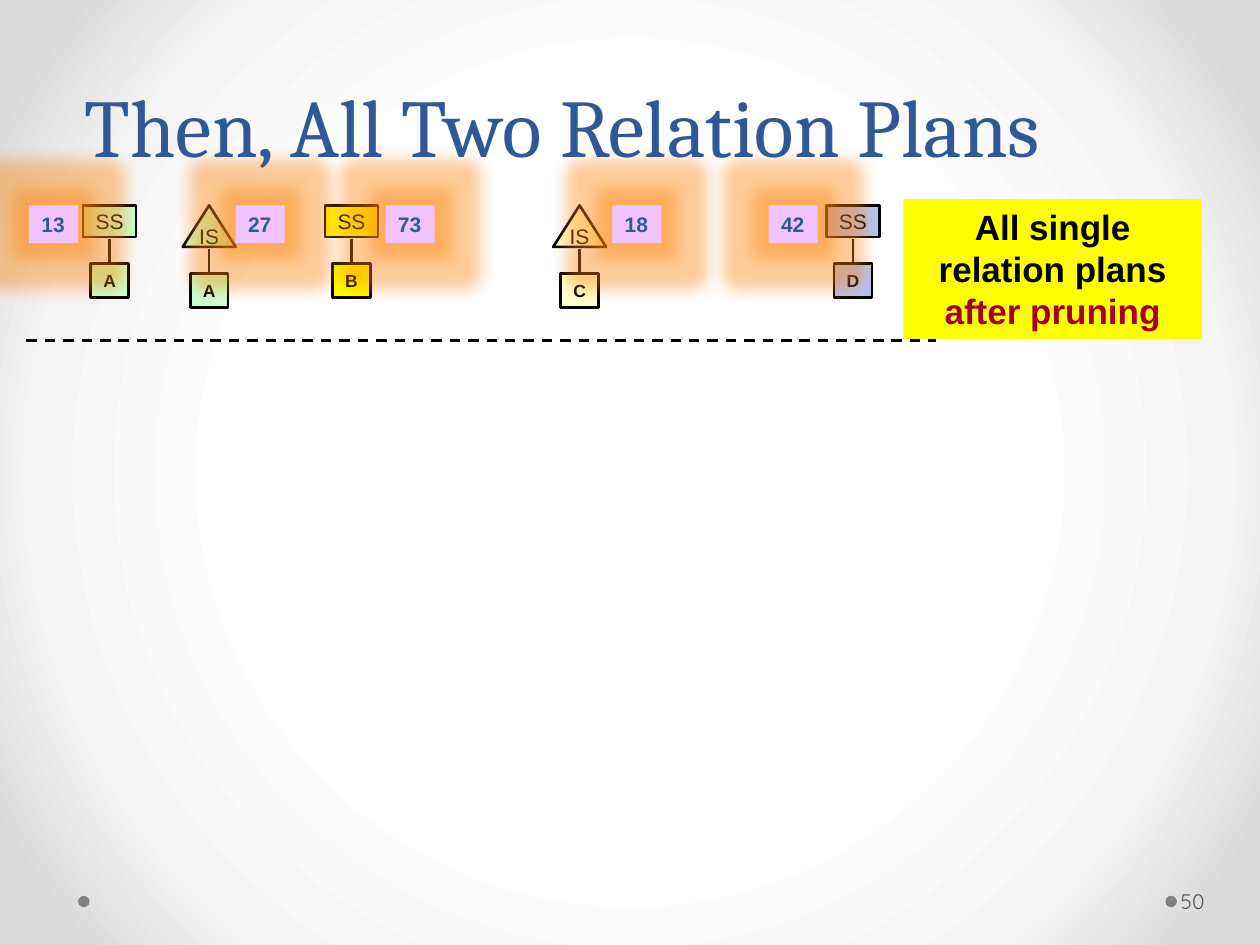
from lxml import etree
from pptx import Presentation
from pptx.dml.color import RGBColor
from pptx.enum.dml import MSO_LINE
from pptx.enum.shapes import MSO_CONNECTOR, MSO_SHAPE
from pptx.enum.text import MSO_ANCHOR, MSO_AUTO_SIZE, PP_ALIGN
from pptx.oxml.ns import qn
from pptx.util import Inches, Pt

RECT, TRIANGLE, OVAL = MSO_SHAPE.RECTANGLE, MSO_SHAPE.ISOSCELES_TRIANGLE, MSO_SHAPE.OVAL
STRAIGHT, DASH = MSO_CONNECTOR.STRAIGHT, MSO_LINE.DASH
LEFT, CENTER = PP_ALIGN.LEFT, PP_ALIGN.CENTER
TOP, MIDDLE, BOTTOM = MSO_ANCHOR.TOP, MSO_ANCHOR.MIDDLE, MSO_ANCHOR.BOTTOM
GROW = MSO_AUTO_SIZE.SHAPE_TO_FIT_TEXT

INK = RGBColor(0x01, 0x02, 0x0B)
BLACK = RGBColor(0, 0, 0)
BLUE = RGBColor(0x2F, 0x58, 0x97)
RED = RGBColor(0xA5, 0x00, 0x21)
GRAY = RGBColor(0x80, 0x80, 0x80)
DARK_GRAY = RGBColor(0x59, 0x59, 0x59)
LILAC = RGBColor(0xF1, 0xC4, 0xFF)
YELLOW = RGBColor(0xFF, 0xFF, 0x00)
GREEN = RGBColor(0xCC, 0xFF, 0xCC)
CREAM = RGBColor(0xFF, 0xFF, 0xCC)
PERIWINKLE = RGBColor(0xB8, 0xC1, 0xEC)
ORANGE = RGBColor(0xFF, 0x80, 0x00)
BACKDROP = [(50, RGBColor(0xFF, 0xFF, 0xFF)), (76, RGBColor(0xF4, 0xF4, 0xF4)),
            (92, RGBColor(0xDA, 0xDA, 0xDA))]

prs = Presentation()
prs.slide_width, prs.slide_height = Inches(10), Inches(7.5)
slide = prs.slides.add_slide(prs.slide_layouts[6])


def add_box(kind, left, top, width, height, fill=None, outline=None, lines=(),
            size=12, bold=False, font="Arial", align=CENTER, anchor=TOP,
            wrap=True, grow=False):
    """Add a shape, or a text box if kind is None; lines holds (text, colour) pairs."""
    place = [Inches(v) for v in (left, top, width, height)]
    if kind is None:
        box = slide.shapes.add_textbox(*place)
    else:
        box = slide.shapes.add_shape(kind, *place)
        box.shadow.inherit = False
        box.fill.solid()
        box.fill.fore_color.rgb = fill
        if outline is None:
            box.line.fill.background()
        else:
            box.line.color.rgb = outline
            box.line.width = Pt(1.5)
    frame = box.text_frame
    frame.word_wrap = wrap
    frame.vertical_anchor = anchor
    if grow:
        frame.auto_size = GROW
    for i, (text, color) in enumerate(lines):
        paragraph = frame.add_paragraph() if i else frame.paragraphs[0]
        paragraph.alignment = align
        run = paragraph.add_run()
        run.text = text
        run.font.name, run.font.size, run.font.bold = font, Pt(size), bold
        run.font.color.rgb = color
    return box


def add_line(x1, y1, x2, y2):
    line = slide.shapes.add_connector(STRAIGHT, *[Inches(v) for v in (x1, y1, x2, y2)])
    line.line.color.rgb = INK
    line.line.width = Pt(1.5)
    etree.SubElement(line._element.spPr, qn("a:effectLst"))
    return line


# Radial background
slide.background.fill.gradient()
gradient = slide._element.find(".//" + qn("a:gradFill"))
for child in list(gradient):
    gradient.remove(child)
stops = etree.SubElement(gradient, qn("a:gsLst"))
for position, color in BACKDROP:
    stop = etree.SubElement(stops, qn("a:gs"), pos=str(position * 1000))
    etree.SubElement(stop, qn("a:srgbClr"), val=str(color))
circle = etree.SubElement(gradient, qn("a:path"), path="circle")
etree.SubElement(circle, qn("a:fillToRect"), l="50000", t="50000", r="50000", b="50000")

# Footer
for dot_left in (9.25, 0.62):
    add_box(OVAL, dot_left, 7.11, 0.09, 0.09, GRAY)
page_number = add_box(None, 9.34, 6.95, 0.61, 0.4, lines=[("50", DARK_GRAY)],
                      font="Quicksand", align=LEFT, anchor=MIDDLE)
page_number.text_frame.margin_left = Inches(0.03)
page_number.text_frame.margin_right = Inches(0.05)

# Single relation plans: operator, relation, colour, centre, cost, left of cost
plans = [
    ("SS", "B", YELLOW, 2.79, "73", 3.06),
    ("SS", "A", GREEN, 0.87, "13", 0.23),
    ("IS", "A", GREEN, 1.66, "27", 1.87),
    ("SS", "D", PERIWINKLE, 6.77, "42", 6.1),
    ("IS", "C", CREAM, 4.6, "18", 4.86),
]
for operator, relation, color, center, cost, cost_left in plans:
    if operator == "IS":
        kind, height, drop = TRIANGLE, 0.33, 0.08
    else:
        kind, height, drop = RECT, 0.25, 0
    add_line(center, 1.9 + drop, center, 2.08 + drop)
    add_box(RECT, center - 0.15, 2.09 + drop, 0.3, 0.27, color, BLACK,
            [(relation, INK)], size=10, bold=True, wrap=False, grow=True)
    add_box(kind, center - 0.21, 1.63, 0.42, height, color, INK,
            [(operator, INK)], anchor=MIDDLE, wrap=False)
    badge = add_box(RECT, cost_left, 1.63, 0.39, 0.3, LILAC, lines=[(cost, BLUE)],
                    bold=True, align=LEFT, grow=True)
    effects = badge._element.spPr.find(qn("a:effectLst"))
    glow = etree.SubElement(effects, qn("a:glow"), rad=str(Pt(18)))
    glow_color = etree.SubElement(glow, qn("a:srgbClr"), val=str(ORANGE))
    etree.SubElement(glow_color, qn("a:alpha"), val="40000")

add_line(0.21, 2.7, 7.43, 2.7).line.dash_style = DASH
add_box(RECT, 7.17, 1.58, 2.37, 1.11, YELLOW,
        lines=[("All single relation plans", INK), ("after pruning", RED)],
        size=20, bold=True, grow=True)

title = add_box(None, 0.08, 0.27, 8.77, 1.16,
                lines=[("Then, All Two Relation Plans", BLUE)],
                size=46.8, font="Cambria", anchor=BOTTOM)
title.text_frame.paragraphs[0].line_spacing = Pt(58)

prs.save("out.pptx")
